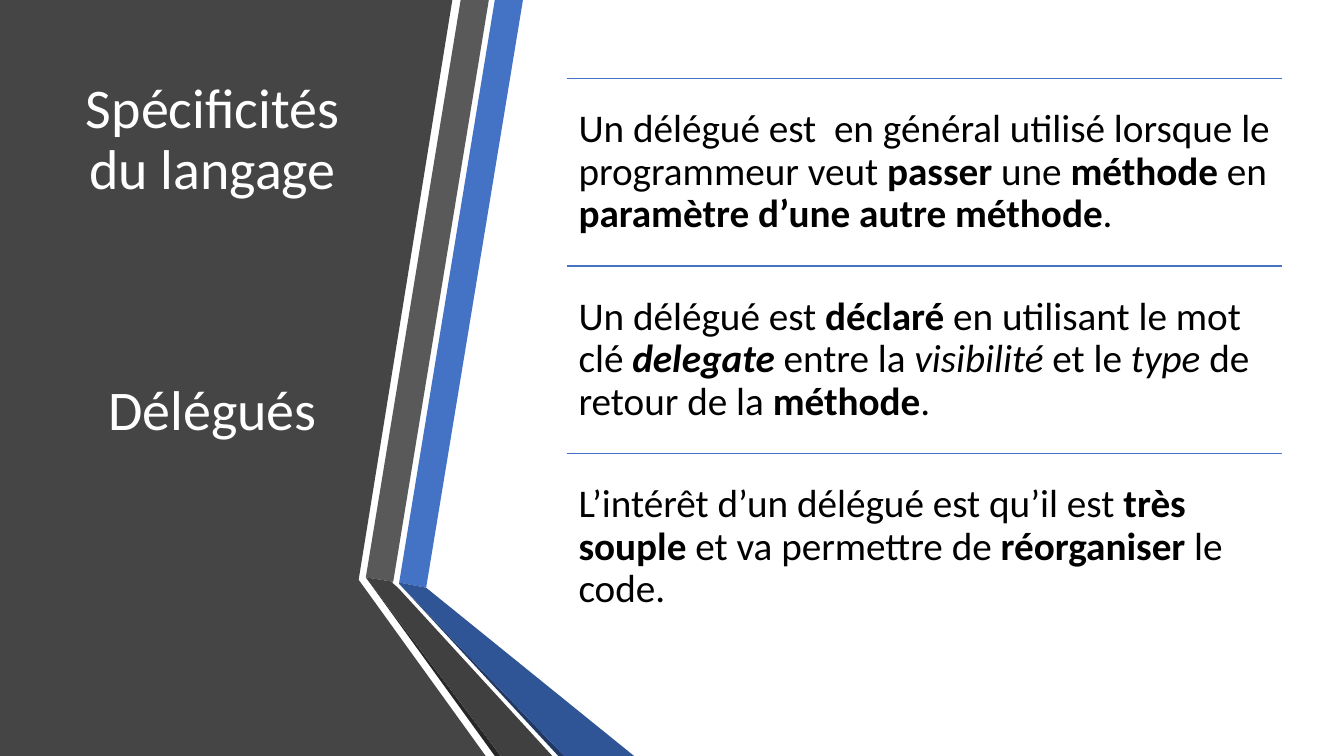
from lxml import etree
from pptx import Presentation
from pptx import util as u
from pptx.dml.color import RGBColor
from pptx.enum import shapes, text
from pptx.oxml.ns import qn

FONT = "Calibri"
COLORS = {
    "panel": "454545",
    "blue": "4472C4",
    "blue_fold": "2F5597",
    "blue_shade": "203864",
    "gray": "595959",
    "gray_fold": "404040",
    "gray_shade": "262626",
    "white": "FFFFFF",
    "black": "000000",
}
WIDTH, HEIGHT = 33.87, 19.05

RIBBONS = [
    ("panel", [(0, 0), (8.97, 0), (11.4, 0), (9.04, 14.61), (12.24, HEIGHT), (0, HEIGHT)]),
    ("blue", [(10.06, 14.68), (10.74, 14.81), (13.18, 0), (12.47, 0)]),
    ("gray", [(12.32, 0), (11.61, 0), (9.22, 14.55), (9.91, 14.66)]),
    ("gray_shade", [(9.22, 14.55), (12.47, HEIGHT), (12.62, HEIGHT)]),
    ("blue_shade", [(10.06, 14.71), (14.07, HEIGHT), (14.22, HEIGHT)]),
    ("blue_fold", [(10.06, 14.71), (14.22, HEIGHT), (15.98, HEIGHT), (10.74, 14.81), (10.06, 14.68)]),
    ("gray_fold", [(13.92, HEIGHT), (10.03, 14.81), (9.88, 14.68), (9.91, 14.66),
                   (9.22, 14.55), (12.62, HEIGHT)]),
]

TITLE = ["Spécificités du langage", "Délégués"]
STATEMENTS = [
    [("Un délégué est  en général utilisé lorsque le programmeur veut ", ""),
     ("passer", "b"), (" une ", ""), ("méthode", "b"), (" en ", ""),
     ("paramètre d’une autre méthode", "b"), (".", "")],
    [("Un délégué est ", ""), ("déclaré", "b"), (" en utilisant le mot clé ", ""),
     ("delegate", "bi"), (" entre la ", ""), ("visibilité", "i"), (" et le ", ""),
     ("type", "i"), (" de retour de la ", ""), ("méthode", "b"), (".", "")],
    [("L’intérêt d’un délégué est qu’il est ", ""), ("très souple ", "b"),
     ("et va permettre de ", ""), ("réorganiser", "b"), (" le code.", "")],
]


def color(name):
    return RGBColor.from_string(COLORS[name])


def style_paragraph(paragraph, size, ink):
    paragraph.line_spacing = 0.9
    paragraph.font.name = FONT
    paragraph.font.size = u.Pt(size)
    paragraph.font.color.rgb = color(ink)


def add_frame(slide, left, top, width, height, anchor):
    frame = slide.shapes.add_textbox(u.Cm(left), u.Cm(top), u.Cm(width), u.Cm(height)).text_frame
    frame.word_wrap = True
    frame.vertical_anchor = anchor
    return frame


def add_ribbons(slide, left, top):
    for fill, outline in RIBBONS:
        points = [(u.Cm(left + x), u.Cm(top + y)) for x, y in outline]
        builder = slide.shapes.build_freeform(*points[0])
        builder.add_line_segments(points[1:], close=True)
        ribbon = builder.convert_to_shape()
        ribbon.shadow.inherit = False
        ribbon.fill.solid()
        ribbon.fill.fore_color.rgb = color(fill)
        ribbon.line.fill.background()


def add_title(slide, left, top, width, height):
    frame = add_frame(slide, left, top, width, height, text.MSO_ANCHOR.TOP)
    for index, words in enumerate(TITLE):
        paragraph = frame.add_paragraph() if index else frame.paragraphs[0]
        paragraph.text = words
        paragraph.alignment = text.PP_ALIGN.CENTER
        paragraph.space_before = u.Pt(129 * index)
        style_paragraph(paragraph, 40, "white")


def add_rule(slide, left, top, width):
    rule = slide.shapes.add_connector(
        shapes.MSO_CONNECTOR.STRAIGHT, u.Cm(left), u.Cm(top), u.Cm(left + width), u.Cm(top))
    rule.line.color.rgb = color("blue")
    rule.line.width = u.Pt(1)
    etree.SubElement(rule._element.spPr, qn("a:effectLst"))


def add_statements(slide, left, top, width, height):
    row_height = height / len(STATEMENTS)
    for index, statement in enumerate(STATEMENTS):
        row_top = top + index * row_height
        add_rule(slide, left, row_top, width)
        frame = add_frame(slide, left, row_top, width, row_height, text.MSO_ANCHOR.MIDDLE)
        frame.margin_left = frame.margin_right = u.Cm(0.3)
        frame.margin_top = frame.margin_bottom = u.Cm(0.3)
        paragraph = frame.paragraphs[0]
        style_paragraph(paragraph, 28, "black")
        for words, emphasis in statement:
            run = paragraph.add_run()
            run.text = words
            if "b" in emphasis:
                run.font.bold = True
            if "i" in emphasis:
                run.font.italic = True


def main():
    deck = Presentation()
    deck.slide_width, deck.slide_height = u.Cm(WIDTH), u.Cm(HEIGHT)
    slide = deck.slides.add_slide(deck.slide_layouts[6])
    add_ribbons(slide, 0, 0)
    add_title(slide, 1.5, 1.9, 7.72, 14.17)
    add_statements(slide, 14.28, 1.98, 18.04, 14.18)
    deck.save("out.pptx")


if __name__ == "__main__":
    main()
